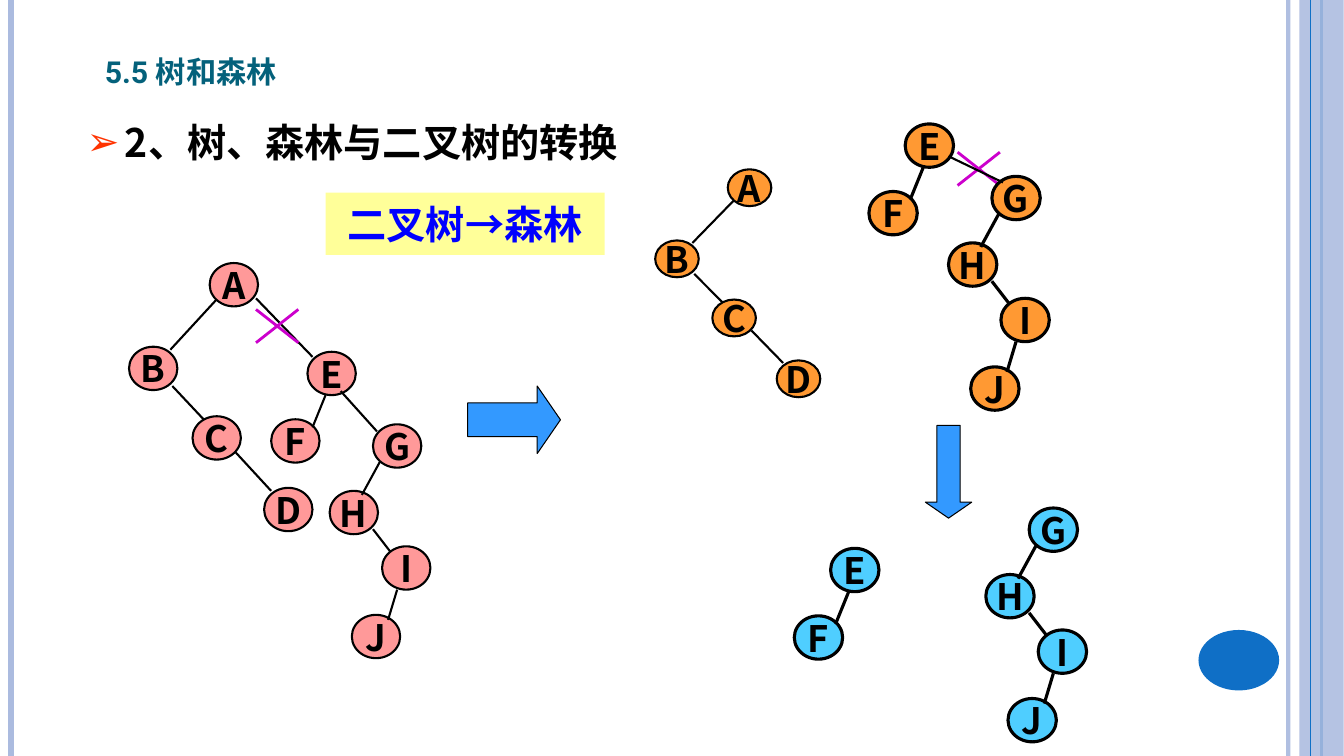
from lxml.etree import SubElement
from pptx import Presentation
from pptx.dml.color import RGBColor
from pptx.enum.shapes import MSO_CONNECTOR, MSO_SHAPE
from pptx.enum.text import MSO_ANCHOR, MSO_AUTO_SIZE, PP_ALIGN
from pptx.oxml.ns import qn
from pptx.util import Emu, Pt

EMU_PER_PX = 9144
CJK_FONT = "Noto Sans CJK SC"
COLORS = {
    "black": "000000", "pale blue": "ABBBDF", "deep blue": "0F6FC6",
    "teal": "04617B", "bullet": "FF3300", "yellow": "FFFF99",
    "caption": "0000FF", "pink": "FF9999", "orange": "FF9933",
    "sky": "4FCEFF", "arrow": "3399FF", "cut": "CC00CC",
}
FRAME = {"word_wrap": True, "auto_size": MSO_AUTO_SIZE.NONE,
         "vertical_anchor": MSO_ANCHOR.MIDDLE}
NODE_SIZE = (48, 43)

# Each tree: node offsets and edges, in px from the corner of its root node.
ABCD = ({"A": (0, 0), "B": (-80, 83), "C": (-17, 152), "D": (54, 223)},
        [(7, 36, -39, 86), (-37, 122, -6, 155), (26, 188, 61, 226)])
EF = ({"E": (0, 0), "F": (-36, 67)}, [(18, 43, 5, 75)])
GHIJ = ({"G": (0, 0), "H": (-43, 66), "I": (9, 121), "J": (-21, 189)},
        [(7, 37, -11, 70), (0, 104, 17, 126), (24, 164, 15, 194)])


def px(*lengths):
    return [Emu(round(length * EMU_PER_PX)) for length in lengths]


def color(name):
    return RGBColor.from_string(COLORS[name])


def apply(target, values):
    for name, value in values.items():
        setattr(target, name, value)


def set_alpha(properties, percent):
    """Make a solid fill or line see-through; percent is its opacity."""
    for element in properties.iter(qn("a:srgbClr")):
        SubElement(element, qn("a:alpha"), val=str(percent * 1000))


class SlideBuilder:
    def __init__(self, presentation):
        self.slide = presentation.slides.add_slide(presentation.slide_layouts[1])
        self.shapes = self.slide.shapes

    def add_text(self, shape, text, size, ink, latin=CJK_FONT,
                 alignment=PP_ALIGN.CENTER, **frame):
        text_frame = shape.text_frame
        apply(text_frame, FRAME | frame)
        paragraph = text_frame.paragraphs[0]
        apply(paragraph, {"alignment": alignment, "space_before": Pt(0)})
        run = paragraph.add_run()
        run.text = text
        apply(run.font, {"size": Pt(size), "bold": True, "name": latin})
        run.font.color.rgb = color(ink)
        SubElement(run._r.get_or_add_rPr(), qn("a:ea"), typeface=CJK_FONT)
        return paragraph, run

    def place(self, placeholder, box):
        apply(placeholder, dict(zip(("left", "top", "width", "height"), px(*box))))
        return placeholder

    def title(self, text, box):
        run = self.add_text(self.place(self.shapes.title, box), text, 27, "teal", "Roboto",
                            PP_ALIGN.LEFT, vertical_anchor=MSO_ANCHOR.BOTTOM)[1]
        run._r.get_or_add_rPr().set("cap", "small")

    def bullet(self, text, box):
        body = self.place(self.slide.placeholders[1], box)
        paragraph = self.add_text(body, text, 28, "black", alignment=PP_ALIGN.LEFT,
                                  vertical_anchor=MSO_ANCHOR.TOP)[0]
        paragraph.line_spacing = 1.25
        properties = paragraph._p.get_or_add_pPr()
        indent = px(38)[0]
        properties.set("marL", str(indent))
        properties.set("indent", str(-indent))
        bullet_color = SubElement(properties, qn("a:buClr"))
        SubElement(bullet_color, qn("a:srgbClr"), val=COLORS["bullet"])
        SubElement(properties, qn("a:buChar"), char="➢")

    def shape(self, kind, box, fill, line_width=0, opacity=100, shapes=None):
        shape = (shapes or self.shapes).add_shape(kind, *px(*box))
        shape.shadow.inherit = False
        shape.fill.solid()
        shape.fill.fore_color.rgb = color(fill)
        if opacity < 100:
            set_alpha(shape._element.spPr, opacity)
        if line_width:
            shape.line.width = Pt(line_width)
            shape.line.color.rgb = color("black")
        else:
            shape.line.fill.background()
        return shape

    def line(self, ends, width, ink="black", opacity=100, shapes=None):
        connector = (shapes or self.shapes).add_connector(
            MSO_CONNECTOR.STRAIGHT, *px(*ends))
        connector.line.width = Pt(width)
        connector.line.color.rgb = color(ink)
        properties = connector._element.spPr
        if opacity < 100:
            set_alpha(properties, opacity)
        SubElement(properties, qn("a:effectLst"))

    def arrow(self, box, rotation=0):
        arrow = self.shape(MSO_SHAPE.RIGHT_ARROW, box, "arrow", 0.75)
        arrow.adjustments[1] = 0.344
        arrow.rotation = rotation

    def tree(self, layout, left, top, fill, line_width, scale=(1, 1)):
        nodes, edges = layout
        across, down = scale
        width, height = NODE_SIZE[0] * across, NODE_SIZE[1] * down
        shapes = self.shapes.add_group_shape().shapes
        for letter, (x, y) in nodes.items():
            box = (left + x * across, top + y * down, width, height)
            node = self.shape(MSO_SHAPE.OVAL, box, fill, line_width, shapes=shapes)
            self.add_text(node, letter, 26, "black", word_wrap=False)
        for x1, y1, x2, y2 in edges:
            ends = (left + x1 * across, top + y1 * down,
                    left + x2 * across, top + y2 * down)
            self.line(ends, line_width, shapes=shapes)

    def cut(self, left, top):
        """Cross out a branch."""
        right, bottom = left + 42, top + 33
        shapes = self.shapes.add_group_shape().shapes
        for ends in ((left, top, right, bottom), (right, top, left, bottom)):
            self.line(ends, 2, "cut", shapes=shapes)


def main():
    presentation = Presentation()
    presentation.slide_width, presentation.slide_height = px(1333.33, 750)
    builder = SlideBuilder(presentation)

    for x, width, ink, opacity in ((1278, 3, "pale blue", 93), (11, 4.5, "pale blue", 100),
                                   (1311, 1.5, "deep blue", 100)):
        builder.line((x, 0, x, 750), width, ink, opacity)
    builder.shape(MSO_SHAPE.RECTANGLE, (1289, 0, 44, 750), "pale blue", opacity=87)
    builder.line((1300, 0, 1300, 750), 0.75, "deep blue")
    builder.shape(MSO_SHAPE.OVAL, (1189, 625, 80, 60), "deep blue")

    builder.title("5.5 树和森林", (94, 34, 293, 61))
    builder.bullet("2、树、森林与二叉树的转换", (76, 101, 1172, 121))
    caption = builder.shape(MSO_SHAPE.RECTANGLE, (323, 191, 277, 62), "yellow")
    builder.add_text(caption, "二叉树→森林", 28, "caption")

    builder.tree(ABCD, 208, 261, "pink", 1.5)
    builder.tree(EF, 305, 349, "pink", 1.5)
    builder.tree(GHIJ, 370, 421, "pink", 1.5)
    builder.line((254, 296, 310, 354), 1.5)
    builder.line((338, 388, 374, 428), 1.5)
    builder.cut(254, 307)
    builder.arrow((464, 383, 92, 67))

    builder.tree(ABCD, 722, 168, "orange", 1.5, scale=(0.9, 0.85))
    builder.tree(EF, 898, 123, "orange", 2.25)
    builder.cut(950, 151)
    builder.tree(GHIJ, 984, 175, "orange", 2.25)
    builder.line((941, 155, 995, 181), 1.5)
    builder.arrow((895, 445, 92, 46), rotation=90)

    builder.tree(EF, 824, 544, "sky", 2.25)
    builder.tree(GHIJ, 1021, 504, "sky", 2.25)
    presentation.save("out.pptx")


if __name__ == "__main__":
    main()
